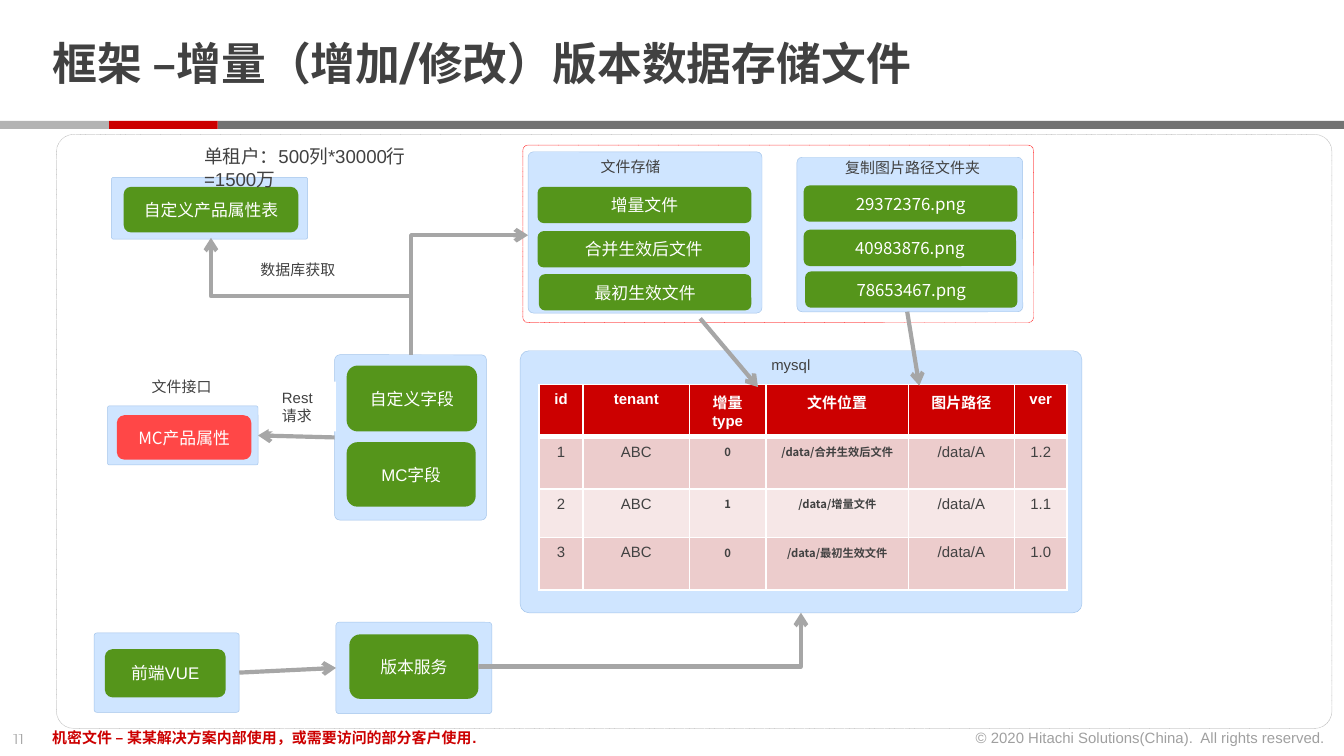
from lxml.etree import SubElement
from pptx import Presentation
from pptx.dml.color import RGBColor
from pptx.enum.dml import MSO_LINE
from pptx.enum.shapes import MSO_CONNECTOR, MSO_SHAPE
from pptx.enum.text import MSO_ANCHOR, PP_ALIGN
from pptx.oxml.ns import qn
from pptx.util import Inches, Pt

INK = RGBColor(0x41, 0x41, 0x41)
WHITE = RGBColor(0xFF, 0xFF, 0xFF)
RED = RGBColor(0xCC, 0x00, 0x00)
CORAL = RGBColor(0xFF, 0x47, 0x47)
ALERT = RGBColor(0xFF, 0x00, 0x00)
GREEN = RGBColor(0x55, 0x95, 0x1B)
BLUE = RGBColor(0xB3, 0xD7, 0xFF)
EDGE = RGBColor(0xA3, 0xC4, 0xEA)
DARK = RGBColor(0x73, 0x73, 0x73)
SILVER = RGBColor(0xB3, 0xB3, 0xB3)
ARROW = RGBColor(0xA6, 0xA6, 0xA6)
ROSE = RGBColor(0xEC, 0xCC, 0xCC)
PALE = RGBColor(0xF6, 0xE7, 0xE7)

LATIN, HAN, HEAD = "Arial", "Noto Sans CJK SC", "Montserrat"
LABEL = {"size": Pt(8), "name": LATIN, "bold": False}
STRONG = {**LABEL, "bold": True}
SMALL = {"size": Pt(6), "name": HAN, "bold": True}
CARD = {"size": Pt(9), "name": LATIN}
FILE = {**CARD, "name": HAN}
NOTE = {**LABEL, "size": Pt(10)}
PAGE = {**LABEL, "name": HEAD}
TITLE = {"size": Pt(24), "name": HEAD, "bold": True}


def write(frame, text, look, color, align=PP_ALIGN.LEFT, alpha=None):
    frame.text = text
    for para in frame.paragraphs:
        para.alignment = align
        for run in para.runs:
            for key, value in look.items():
                setattr(run.font, key, value)
            run.font.color.rgb = color
            if alpha:
                tint = run.font.fill._xPr.find(".//" + qn("a:srgbClr"))
                SubElement(tint, qn("a:alpha"), val=str(alpha * 1000))
            SubElement(run.font._element, qn("a:ea"), typeface=HAN)


def block(kind, place, fill=None, edge=None, curve=None):
    shape = slide.shapes.add_shape(kind, *map(Inches, place))
    shape.shadow.inherit = False
    if fill is None:
        shape.fill.background()
    else:
        shape.fill.solid()
        shape.fill.fore_color.rgb = fill
    if edge is None:
        shape.line.fill.background()
    else:
        shape.line.color.rgb = edge
        shape.line.width = Pt(0.25)
    if curve:
        shape.adjustments[0] = curve
    return shape


deck = Presentation()
deck.slide_width = Inches(10)
deck.slide_height = deck.slide_width * 9 // 16
slide = deck.slides.add_slide(deck.slide_layouts[5])
RECT, ROUND = MSO_SHAPE.RECTANGLE, MSO_SHAPE.ROUNDED_RECTANGLE

title = slide.shapes.title
spot = {"left": 0.29, "top": 0.13, "width": 7.71, "height": 0.73}
for key, value in spot.items():
    setattr(title, key, Inches(value))
frame = title.text_frame
write(frame, "框架 –增量（增加/修改）版本数据存储文件", TITLE, INK)
frame.vertical_anchor = MSO_ANCHOR.MIDDLE
frame.margin_top = frame.margin_bottom = 0
frame.paragraphs[0].line_spacing = 0.85

for left, width, color in ((1.62, 8.38, DARK), (0.81, 0.81, RED), (0, 0.81, SILVER)):
    block(RECT, (left, 0.9, width, 0.06), color)

for place, color in (((0.42, 1, 9.49, 4.42), SILVER), ((3.89, 1.08, 3.8, 1.32), ALERT)):
    border = block(ROUND, place, edge=color, curve=0.029)
    border.line.dash_style = MSO_LINE.ROUND_DOT

panels = {}
for name, place in {
    "service": (2.5, 4.63, 1.16, 0.68),
    "store": (3.93, 1.13, 1.74, 1.2),
    "fields": (2.49, 2.64, 1.13, 1.23),
    "mysql": (3.87, 2.61, 4.18, 1.95),
    "product": (0.83, 1.32, 1.46, 0.46),
    "api": (0.8, 3.02, 1.12, 0.44),
    "front": (0.7, 4.71, 1.08, 0.59),
    "images": (5.93, 1.17, 1.68, 1.15),
}.items():
    panel = block(ROUND, place, BLUE, EDGE, 0.034)
    tint = panel._element.spPr.find(qn("a:solidFill"))[0]
    SubElement(tint, qn("a:alpha"), val="63000")
    panels[name] = panel

for text, place, look, color in (
    ("自定义字段", (2.58, 2.72, 0.97, 0.49), CARD, GREEN),
    ("MC字段", (2.58, 3.29, 0.96, 0.48), CARD, GREEN),
    ("前端VUE", (0.78, 4.83, 0.9, 0.36), CARD, GREEN),
    ("版本服务", (2.6, 4.72, 0.96, 0.48), CARD, GREEN),
    ("自定义产品属性表", (0.92, 1.39, 1.3, 0.34), FILE, GREEN),
    ("MC产品属性", (0.87, 3.09, 1, 0.33), FILE, CORAL),
    ("增量文件", (4, 1.39, 1.59, 0.27), FILE, GREEN),
    ("合并生效后文件", (4, 1.72, 1.58, 0.27), FILE, GREEN),
    ("最初生效文件", (4.01, 2.04, 1.58, 0.27), FILE, GREEN),
    ("29372376.png", (5.98, 1.38, 1.59, 0.27), FILE, GREEN),
    ("40983876.png", (5.98, 1.71, 1.58, 0.27), FILE, GREEN),
    ("78653467.png", (5.99, 2.02, 1.58, 0.27), FILE, GREEN),
):
    card = block(ROUND, place, color)
    card.text_frame.vertical_anchor = MSO_ANCHOR.MIDDLE
    write(card.text_frame, text, look, WHITE, PP_ALIGN.CENTER)

rows = (
    ("id", "tenant", "增量type", "文件位置", "图片路径", "ver"),
    ("1", "ABC", "0", "/data/合并生效后文件", "/data/A", "1.2"),
    ("2", "ABC", "1", "/data/增量文件", "/data/A", "1.1"),
    ("3", "ABC", "0", "/data/最初生效文件", "/data/A", "1.0"),
)
area = map(Inches, (4.01, 2.86, 3.93, 1.54))
table = slide.shapes.add_table(len(rows), len(rows[0]), *area).table
for col, width in zip(table.columns, (0.33, 0.79, 0.57, 1.06, 0.79, 0.39)):
    col.width = Inches(width)
for row, height in zip(table.rows, (0.39, 0.39, 0.36, 0.39)):
    row.height = Inches(height)
for i, row in enumerate(rows):
    for j, text in enumerate(row):
        cell = table.cell(i, j)
        look = STRONG if i == 0 else SMALL if j in (2, 3) else LABEL
        write(cell.text_frame, text, look, INK if i else WHITE, PP_ALIGN.CENTER)
        for side in "LRTB":
            thick = (i, side) in ((0, "B"), (1, "T"))
            width = Pt(3 if thick else 1)
            line = SubElement(cell._tc.get_or_add_tcPr(), qn("a:ln" + side), w=str(width))
            SubElement(SubElement(line, qn("a:solidFill")), qn("a:srgbClr"), val=str(WHITE))
        cell.fill.solid()
        cell.fill.fore_color.rgb = (RED, ROSE, PALE, ROSE)[i]

for kind, ends, turn, tip, start, stop in (
    ("bentConnector2", (3.93, 1.75, 3.06, 2.64), 0, "headEnd", None, None),
    ("bentConnector3", (1.88, 2.95, 2.75, 1.46), 270, "tailEnd", None, None),
    ("bentConnector2", (3.56, 4.96, 5.96, 4.56), 0, "tailEnd", None, None),
    ("line", (5.21, 2.37, 5.64, 2.88), 0, "tailEnd", None, None),
    ("line", (6.75, 2.32, 6.84, 2.87), 0, "tailEnd", None, None),
    ("line", (2.49, 3.26, 1.92, 3.24), 0, "tailEnd", ("fields", 1), ("api", 3)),
    ("line", (1.78, 5.01, 2.5, 4.97), 0, "tailEnd", ("front", 3), ("service", 1)),
):
    style = MSO_CONNECTOR.STRAIGHT if kind == "line" else MSO_CONNECTOR.ELBOW
    link = slide.shapes.add_connector(style, *map(Inches, ends))
    link.line.color.rgb = ARROW
    link.line.width = Pt(2.25)
    if start:
        link.begin_connect(panels[start[0]], start[1])
    if stop:
        link.end_connect(panels[stop[0]], stop[1])
    props = link._element.spPr
    if turn:
        props.find(qn("a:xfrm")).set("rot", str(turn * 60000))
    props.find(qn("a:prstGeom")).set("prst", kind)
    SubElement(props.find(qn("a:ln")), qn("a:" + tip), type="arrow")
    SubElement(props, qn("a:effectLst"))

LEFT, RIGHT = PP_ALIGN.LEFT, PP_ALIGN.RIGHT
for text, place, look, color, fill, wrap, align, alpha in (
    ("文件存储", (4.37, 1.12, 0.65, 0.24), LABEL, INK, None, False, LEFT, None),
    ("mysql", (5.64, 2.6, 0.49, 0.24), LABEL, INK, None, False, LEFT, None),
    ("复制图片路径文件夹", (6.19, 1.13, 1.21, 0.24), LABEL, INK, None, False, LEFT, None),
    ("数据库获取", (1.84, 1.89, 0.76, 0.24), LABEL, INK, WHITE, False, LEFT, None),
    ("Rest\n请求", (2, 2.84, 0.5, 0.37), LABEL, INK, WHITE, True, LEFT, None),
    ("单租户：500列*30000行=1500万", (1.42, 1.03, 2.25, 0.27), NOTE, INK, WHITE, True, LEFT, None),
    ("文件接口", (1.03, 2.76, 0.65, 0.24), LABEL, INK, WHITE, False, LEFT, None),
    ("11", (0, 5.38, 0.34, 0.24), PAGE, INK, None, False, LEFT, 50),
    ("© 2020 Hitachi Solutions(China).\u00a0 All rights reserved.", (7.12, 5.37, 2.84, 0.24),
     LABEL, INK, None, False, RIGHT, 50),
    ("机密文件 – 某某解决方案内部使用，或需要访问的部分客户使用.", (0.29, 5.37, 6.74, 0.24),
     STRONG, RED, None, True, LEFT, None),
):
    box = slide.shapes.add_textbox(*map(Inches, place))
    if fill is not None:
        box.fill.solid()
        box.fill.fore_color.rgb = fill
    box.text_frame.word_wrap = wrap
    if look is NOTE:
        box.text_frame.margin_right = Inches(0.3)
    write(box.text_frame, text, look, color, align, alpha)

deck.save("out.pptx")
